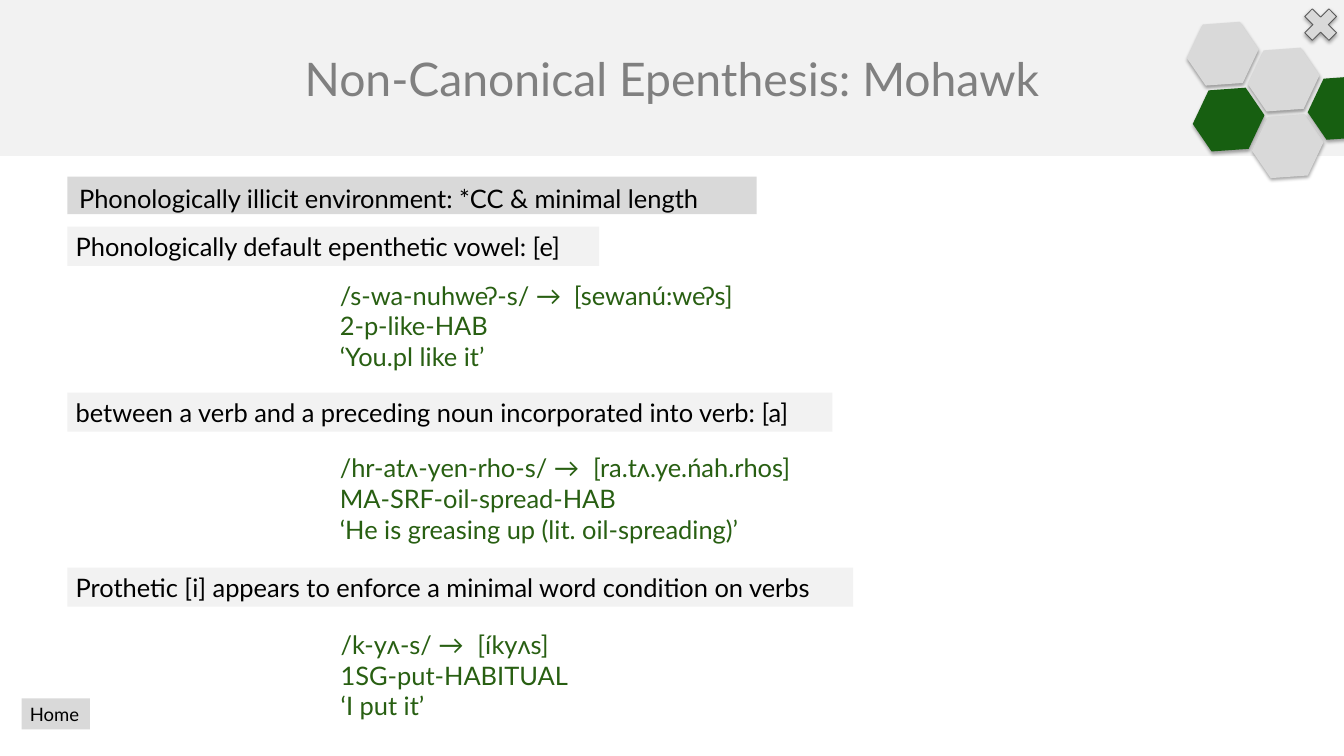
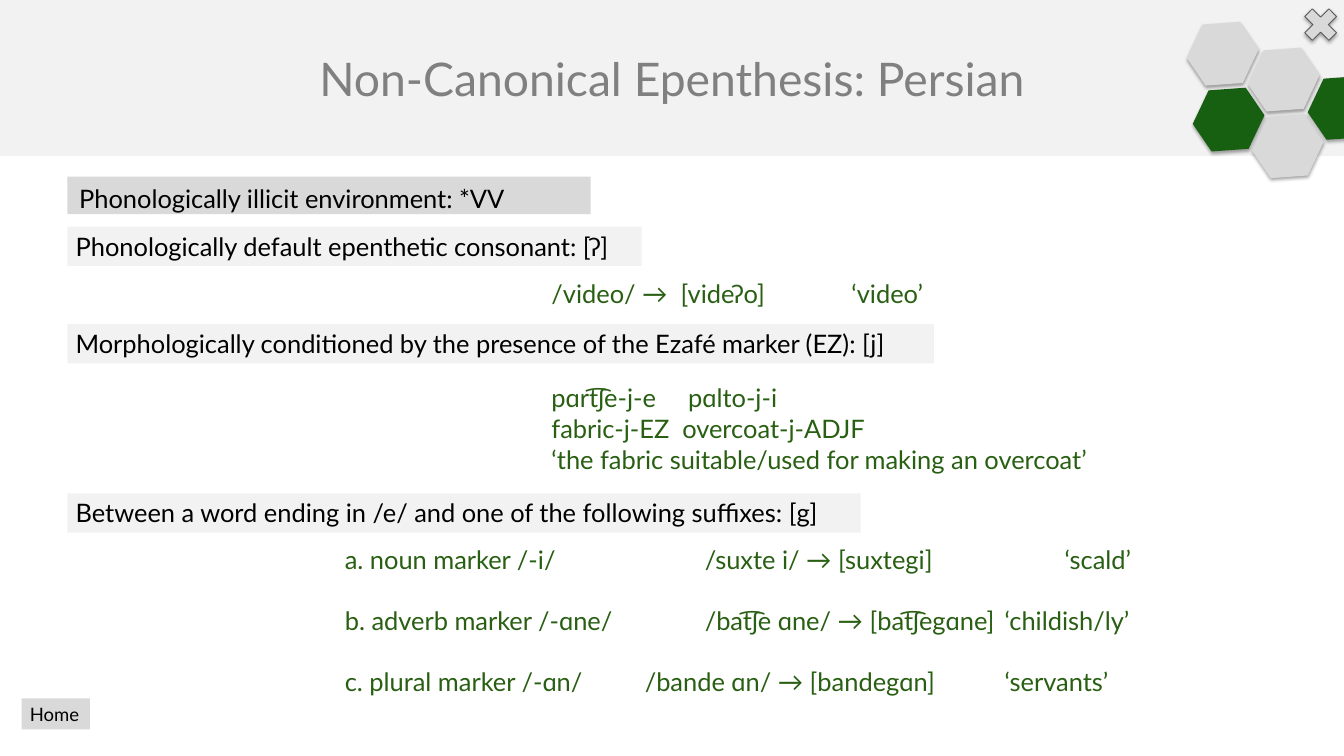
from dataclasses import dataclass
from typing import NamedTuple

from lxml.etree import SubElement
from pptx import Presentation
from pptx.dml.color import RGBColor
from pptx.enum.shapes import MSO_SHAPE as Preset
from pptx.enum.text import MSO_ANCHOR as Anchor
from pptx.enum.text import MSO_AUTO_SIZE as AutoSize
from pptx.enum.text import PP_ALIGN as Align
from pptx.oxml.ns import qn
from pptx.shapes.autoshape import Shape
from pptx.slide import Slide
from pptx.text.text import TextFrame
from pptx.util import Emu, Inches, Pt


@dataclass(frozen=True)
class Theme:
    """Colours, font and type sizes of the deck."""
    font: str = "Lato"
    pale: str = "F2F2F2"
    grey: str = "D9D9D9"
    outline: str = "595959"
    title: str = "808080"
    ink: str = "000000"
    green: str = "175F11"
    example: str = "285F12"
    title_size: int = 40
    body_size: int = 22
    button_size: int = 16


class Line(NamedTuple):
    """One line of an example, with its tab stops in inches."""
    text: str
    tabs: tuple[float, ...] = ()


class Label(NamedTuple):
    """A one-line statement on a pale band."""
    text: str
    top: float
    width: float


class Example(NamedTuple):
    """A block of example lines."""
    left: float
    top: float
    width: float
    height: float
    lines: tuple[Line, ...]
    gap: float = 0


class Hexagon(NamedTuple):
    """One cell of the corner ornament."""
    left: float
    top: float
    colour: str


class Language(NamedTuple):
    """The content of one slide."""
    name: str
    environment: str
    environment_width: float
    labels: tuple[Label, ...]
    examples: tuple[Example, ...]


THEME = Theme()
WIDTH, HEIGHT = 16.13, 9.07
MARGIN = 0.81
BAND_HEIGHT = 0.47
WIDE_INSETS = (0.14, 0.07)
HEXAGONS = (
    Hexagon(14.32, 1.05, THEME.green),
    Hexagon(15.03, 1.37, THEME.grey),
    Hexagon(14.98, 0.57, THEME.grey),
    Hexagon(15.7, 0.91, THEME.green),
    Hexagon(14.25, 0.26, THEME.grey),
)
LANGUAGES = (
    Language(
        "Mohawk", "*CC & minimal length", 8.27,
        (
            Label("Phonologically default epenthetic vowel: [e]", 2.72, 6.38),
            Label("between a verb and a preceding noun incorporated into verb: [a]", 4.71, 9.18),
            Label("Prothetic [i] appears to enforce a minimal word condition on verbs", 6.81, 9.43),
        ),
        (
            Example(3.98, 3.31, 5.48, 1.21, (
                Line("/s-wa-nuhweʔ-s/ →\t[sewanú:weʔs]", (2.81,)),
                Line("2-p-like-HAB"),
                Line("‘You.pl like it’"),
            )),
            Example(3.98, 5.38, 6.42, 1.21, (
                Line("/hr-atʌ-yen-rho-s/ →\t[ra.tʌ.ye.n\u0301ah.rhos]", (3.04,)),
                Line("MA-SRF-oil-spread-HAB"),
                Line("‘He is greasing up (lit. oil-spreading)’"),
            )),
            Example(3.99, 7.5, 4.33, 1.21, (
                Line("/k-yʌ-s/ →\t[íkyʌs]", (1.64,)),
                Line("1SG-put-HABITUAL"),
                Line("‘I put it’"),
            )),
        ),
    ),
    Language(
        "Persian", "*VV", 6.28,
        (
            Label("Phonologically default epenthetic consonant: [ʔ]", 2.72, 6.89),
            Label("Morphologically conditioned by the presence of the Ezafé marker (EZ): [j]",
                  3.89, 10.4),
            Label("Between a word ending in /e/ and one of the following suffixes: [g]", 5.92, 9.52),
        ),
        (
            Example(6.52, 3.29, 4.75, 0.47, (
                Line("/video/ →\t[videʔo]\t‘video’", (1.55, 3.6)),
            )),
            Example(6.52, 4.54, 9.18, 1.21, (
                Line("pɑrt\u0361ʃe-j-e\tpɑlto-j-i", (1.64,)),
                Line("fabric-j-EZ\tovercoat-j-ADJF", (1.57,)),
                Line("‘the fabric suitable/used for making an overcoat’"),
            )),
            Example(4.04, 6.48, 11.04, 1.95, (
                Line("a. noun marker /-i/\t/suxte i/ → [suxtegi]\t‘scald’", (4.32, 8.64)),
                Line("b. adverb marker /-ɑne/\t/bat\u0361ʃe ɑne/ → [bat\u0361ʃegɑne]\t‘childish/ly’",
                     (4.32, 7.92)),
                Line("c. plural marker /-ɑn/\t/bande ɑn/ → [bandegɑn]\t‘servants’", (3.6, 7.92)),
            ), gap=26.4),
        ),
    ),
)


def fill_solid(shape: Shape, colour: str) -> None:
    """Give a shape one flat colour."""
    shape.fill.solid()
    shape.fill.fore_color.rgb = RGBColor.from_string(colour)


def write(frame: TextFrame, lines: tuple[Line, ...], *, size: float = THEME.body_size,
          colour: str = THEME.ink, align: Align = Align.LEFT, gap: float = 0,
          anchor: Anchor = Anchor.TOP, insets: tuple[float, float] = (0.1, 0.05)) -> None:
    """Write lines as paragraphs of one format."""
    frame.word_wrap = True
    frame.auto_size = AutoSize.NONE
    frame.vertical_anchor = anchor
    frame.margin_left = frame.margin_right = Inches(insets[0])
    frame.margin_top = frame.margin_bottom = Inches(insets[1])
    for index, line in enumerate(lines):
        para = frame.add_paragraph() if index else frame.paragraphs[0]
        para.alignment = align
        para.space_before = Pt(gap if index else 0)
        if line.tabs:
            stops = SubElement(para._p.get_or_add_pPr(), qn("a:tabLst"))
            for position in line.tabs:
                SubElement(stops, qn("a:tab"), pos=str(Inches(position)), algn="l")
        span = para.add_run()
        span.text = line.text
        span.font.name = THEME.font
        span.font.size = Pt(size)
        span.font.color.rgb = RGBColor.from_string(colour)


def add_box(slide: Slide, left: float, top: float, width: float, height: float,
            fill: str | None = None) -> Shape:
    """Add a text box, with a band behind it if a fill is given."""
    box = slide.shapes.add_textbox(Inches(left), Inches(top), Inches(width), Inches(height))
    if fill:
        fill_solid(box, fill)
    return box


def add_shadowed(slide: Slide, preset: Preset, left: float, top: float, width: float,
                 height: float, colour: str) -> Shape:
    """Add a preset shape without outline that casts a soft shadow downwards."""
    shape = slide.shapes.add_shape(preset, Inches(left), Inches(top), Inches(width), Inches(height))
    fill_solid(shape, colour)
    shape.line.fill.background()
    shape.shadow.inherit = False
    effects = shape._element.spPr.find(qn("a:effectLst"))
    shadow = SubElement(effects, qn("a:outerShdw"), blurRad=str(Pt(3.1)), dist=str(Pt(1.8)),
                        dir=str(90 * 60000), rotWithShape="0")
    tint = SubElement(shadow, qn("a:srgbClr"), val=THEME.ink)
    SubElement(tint, qn("a:alpha"), val="35000")
    return shape


def add_title(slide: Slide, text: str) -> None:
    """Turn the title placeholder into the band across the top."""
    title = slide.shapes.title
    title.left, title.top = Emu(0), Emu(0)
    title.width, title.height = Inches(WIDTH), Inches(1.87)
    fill_solid(title, THEME.pale)
    write(title.text_frame, (Line(text),), size=THEME.title_size, colour=THEME.title,
          align=Align.CENTER, anchor=Anchor.MIDDLE, insets=WIDE_INSETS)


def add_frame(slide: Slide) -> None:
    """Draw the hexagons, the home button and the closing cross."""
    for cell in HEXAGONS:
        hexagon = add_shadowed(slide, Preset.HEXAGON, cell.left, cell.top, 0.85, 0.77, cell.colour)
        hexagon.adjustments[0] = 0.292
        hexagon.rotation = 55.6
    home = add_box(slide, 0.26, 8.38, 0.82, 0.37, THEME.grey)
    write(home.text_frame, (Line("Home"),), size=THEME.button_size)
    cross = add_shadowed(slide, Preset.MATH_MULTIPLY, 15.57, 0.02, 0.56, 0.55, THEME.grey)
    cross.line.color.rgb = RGBColor.from_string(THEME.outline)
    cross.line.width = Pt(0.75)


def add_language(deck: Presentation, language: Language) -> None:
    """Build the slide of one language."""
    slide = deck.slides.add_slide(deck.slide_layouts.get_by_name("Title Only"))
    add_title(slide, f"Non-Canonical Epenthesis: {language.name}")
    add_frame(slide)
    environment = add_box(slide, MARGIN, 2.12, language.environment_width, 0.45, THEME.grey)
    write(environment.text_frame,
          (Line(f"Phonologically illicit environment: {language.environment}"),),
          insets=WIDE_INSETS)
    for label in language.labels:
        band = add_box(slide, MARGIN, label.top, label.width, BAND_HEIGHT, THEME.pale)
        write(band.text_frame, (Line(label.text),))
    for example in language.examples:
        box = add_box(slide, example.left, example.top, example.width, example.height)
        write(box.text_frame, example.lines, colour=THEME.example, gap=example.gap)


def main() -> None:
    """Build and save the deck."""
    deck = Presentation()
    deck.slide_width, deck.slide_height = Inches(WIDTH), Inches(HEIGHT)
    for language in LANGUAGES:
        add_language(deck, language)
    deck.save("out.pptx")


main()
